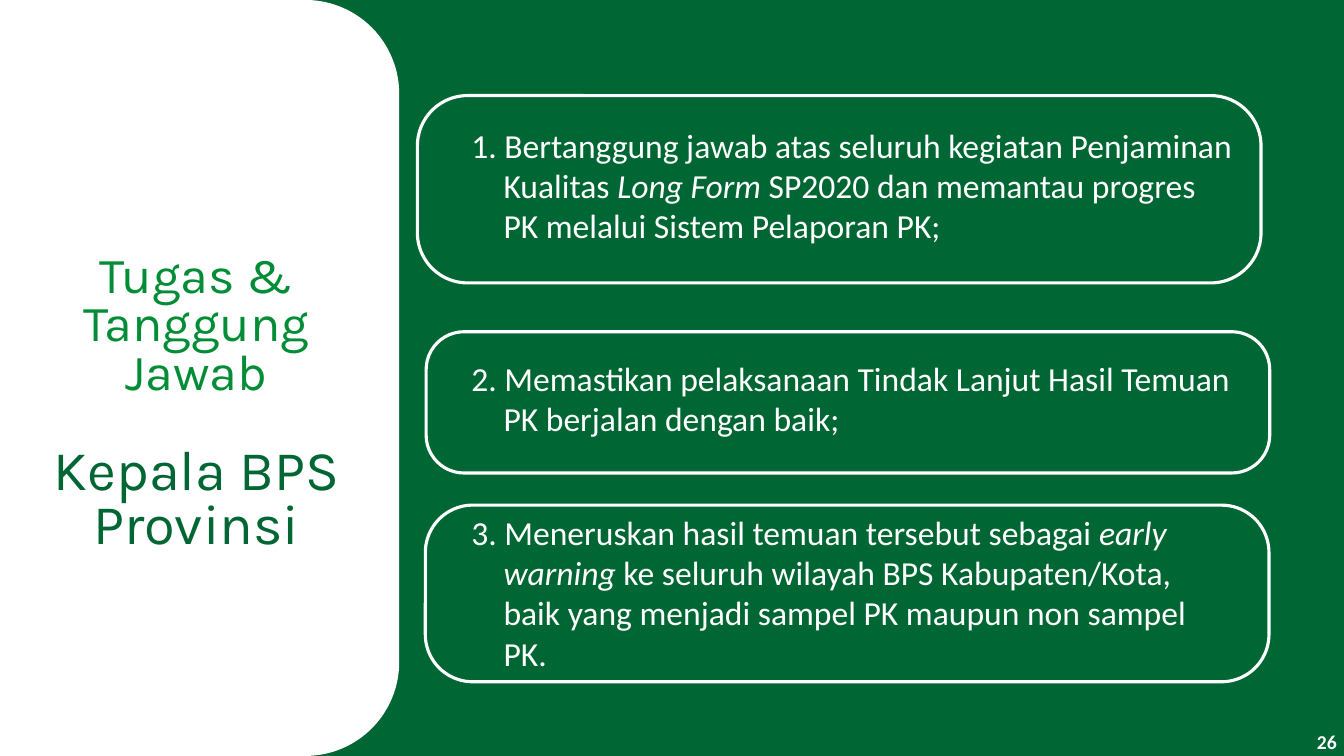
import pptx
import pptx.dml.color
import pptx.enum.shapes
import pptx.enum.text
import pptx.util

Cm, Pt = pptx.util.Cm, pptx.util.Pt
RGBColor = pptx.dml.color.RGBColor
MSO_SHAPE = pptx.enum.shapes.MSO_SHAPE
PP_ALIGN = pptx.enum.text.PP_ALIGN

DARK_GREEN = RGBColor(0x00, 0x66, 0x33)
GREEN = RGBColor(0x00, 0x8D, 0x36)
WHITE = RGBColor(0xFF, 0xFF, 0xFF)

# text, size, colour, space before
TITLE = [
    ("Tugas & Tanggung Jawab", 36, GREEN, 0),
    ("Kepala BPS Provinsi", 40, DARK_GREEN, 34),
]
# frame (left, top, height), text area (top, width, height), runs (text, italic)
DUTIES = [
    ((10.52, 2.41, 4.72), (2.67, 19.79, 3.99), [
        ("1. Bertanggung jawab atas seluruh kegiatan Penjaminan Kualitas ", False),
        ("Long Form ", True),
        ("SP2020 dan memantau progres PK melalui Sistem Pelaporan PK;", False)]),
    ((10.74, 8.36, 3.56), (8.69, 19.79, 2.67), [
        ("2. Memastikan pelaksanaan Tindak Lanjut Hasil Temuan PK berjalan "
         "dengan baik;", False)]),
    ((10.72, 12.73, 4.45), (13.59, 19.38, 2.67), [
        ("3. Meneruskan hasil temuan tersebut sebagai ", False),
        ("early warning ", True),
        ("ke seluruh wilayah BPS Kabupaten/Kota, baik yang menjadi sampel PK "
         "maupun non sampel PK.", False)]),
]
PAGE_NUMBER = "26"

SLIDE_W, SLIDE_H = 33.87, 19.05
PANEL_W = 10.06
FRAME_W = 21.26
TEXT_LEFT = 11.63
HANGING = 0.81


def set_up_frame(tf):
    tf.word_wrap = True
    tf.auto_size = pptx.enum.text.MSO_AUTO_SIZE.NONE
    tf.vertical_anchor = pptx.enum.text.MSO_ANCHOR.MIDDLE


def set_font(p, name, size, color, bold=False):
    p.font.name = name
    p.font.size = Pt(size)
    p.font.color.rgb = color
    p.font.bold = bold


def add_text_area(slide, left, top, width, height):
    """Add an empty text box and return its first paragraph."""
    sp = slide.shapes.add_textbox(Cm(left), Cm(top), Cm(width), Cm(height))
    set_up_frame(sp.text_frame)
    return sp.text_frame.paragraphs[0]


def add_panel(slide):
    """Add the white side panel, turned so that its round corners face right."""
    sp = slide.shapes.add_shape(
        MSO_SHAPE.ROUND_2_SAME_RECTANGLE,
        Cm((PANEL_W - SLIDE_H) / 2), Cm((SLIDE_H - PANEL_W) / 2),
        Cm(SLIDE_H), Cm(PANEL_W))
    sp.rotation = 90
    sp.adjustments[0] = 0.235
    sp.adjustments[1] = 0
    sp.shadow.inherit = False
    sp.fill.solid()
    sp.fill.fore_color.rgb = WHITE
    sp.line.fill.background()


def add_duty(slide, frame, area, runs):
    left, top, height = frame
    sp = slide.shapes.add_shape(MSO_SHAPE.ROUNDED_RECTANGLE,
                                Cm(left), Cm(top), Cm(FRAME_W), Cm(height))
    sp.adjustments[0] = 0.268
    sp.shadow.inherit = False
    sp.fill.background()
    sp.line.color.rgb = WHITE
    sp.line.width = Pt(2.25)

    top, width, height = area
    p = add_text_area(slide, TEXT_LEFT, top, width, height)
    pPr = p._p.get_or_add_pPr()
    pPr.set("marL", str(Cm(HANGING)))
    pPr.set("indent", str(-Cm(HANGING)))
    set_font(p, "Calibri", 24, WHITE)
    for text, italic in runs:
        r = p.add_run()
        r.text = text
        r.font.italic = italic


def fill_title(sp):
    sp.left, sp.top, sp.width, sp.height = Cm(0.81), Cm(6.4), Cm(8.28), Cm(7.6)
    tf = sp.text_frame
    set_up_frame(tf)
    for i, (text, size, color, space) in enumerate(TITLE):
        p = tf.add_paragraph() if i else tf.paragraphs[0]
        p.text = text
        p.alignment = PP_ALIGN.CENTER
        p.line_spacing = 0.8
        p.space_before = Pt(space)
        set_font(p, "Karla", size, color)


def main():
    prs = pptx.Presentation()
    prs.slide_width, prs.slide_height = Cm(SLIDE_W), Cm(SLIDE_H)
    slide = prs.slides.add_slide(prs.slide_layouts[5])
    slide.background.fill.solid()
    slide.background.fill.fore_color.rgb = DARK_GREEN

    add_panel(slide)
    for duty in DUTIES:
        add_duty(slide, *duty)

    title = slide.shapes.title
    fill_title(title)
    slide.shapes._spTree.append(title._element)  # in front of the panel

    p = add_text_area(slide, 32.72, 18.19, 1.22, 1.02)
    p.text = PAGE_NUMBER
    p.alignment = PP_ALIGN.RIGHT
    set_font(p, "Calibri", 14, WHITE, bold=True)

    prs.save("out.pptx")


if __name__ == "__main__":
    main()
